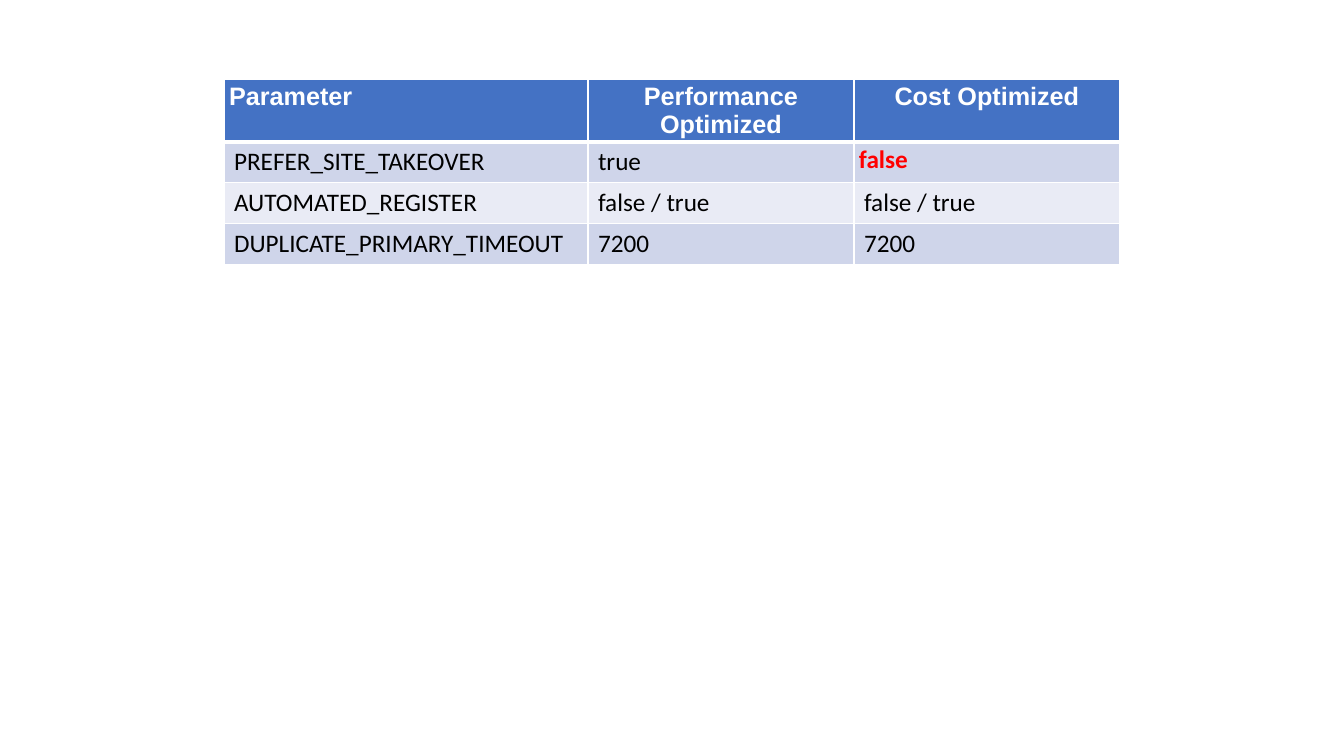
from dataclasses import dataclass

from lxml.etree import SubElement
from pptx import Presentation
from pptx.dml.color import RGBColor
from pptx.enum.text import PP_ALIGN
from pptx.oxml.ns import qn
from pptx.util import Pt


@dataclass(frozen=True)
class Theme:
    header_fill: str = "4472C4"
    bands: tuple = ("CFD5EA", "E9EBF5")
    white: str = "FFFFFF"
    text: str = "000000"
    alert: str = "FF0000"
    header_font: str = "Arial"
    body_font: str = "Calibri"
    size: float = 18
    rule: float = 1
    header_rule: float = 3


class Deck:
    def __init__(self, theme):
        self.theme = theme
        self.prs = Presentation()
        self.prs.slide_width, self.prs.slide_height = Pt(960), Pt(540)
        self.s = self.prs.slides.add_slide(self.prs.slide_layouts[6])

    def borders(self, cell, widths):
        # Border lines must come before the fill in the cell properties
        tcPr = cell._tc.get_or_add_tcPr()
        for i, (side, width) in enumerate(widths.items()):
            ln = SubElement(tcPr, qn(f"a:ln{side}"), w=str(Pt(width)))
            fill = SubElement(ln, qn("a:solidFill"))
            SubElement(fill, qn("a:srgbClr"), val=self.theme.white)
            tcPr.insert(i, ln)

    def cell(self, cell, text, fill, color, font, bold=False, tight=False,
             align=PP_ALIGN.LEFT, top=1, bottom=1):
        self.borders(cell, {"L": self.theme.rule, "R": self.theme.rule,
                            "T": top, "B": bottom})
        cell.fill.solid()
        cell.fill.fore_color.rgb = RGBColor.from_string(fill)
        if tight:
            margins = {"margin_left": 3.6, "margin_right": 3.6,
                       "margin_top": 2, "margin_bottom": 2}
            for name, value in margins.items():
                setattr(cell, name, Pt(value))
        p = cell.text_frame.paragraphs[0]
        p.alignment = align
        r = p.add_run()
        r.text = text
        for name, value in {"name": font, "size": Pt(self.theme.size), "bold": bold}.items():
            setattr(r.font, name, value)
        r.font.color.rgb = RGBColor.from_string(color)

    def table(self, rows, left, top, widths, row_height, highlight):
        t = self.theme
        table = self.s.shapes.add_table(
            len(rows), len(widths), Pt(left), Pt(top),
            Pt(sum(widths)), Pt(row_height * len(rows))).table
        for column, width in zip(table.columns, widths):
            column.width = Pt(width)
        for i, row in enumerate(rows):
            for j, text in enumerate(row):
                if i == 0:
                    style = dict(fill=t.header_fill, color=t.white, font=t.header_font,
                                 bold=True, tight=True, bottom=t.header_rule,
                                 align=PP_ALIGN.CENTER if j else PP_ALIGN.LEFT)
                else:
                    marked = (i, j) == highlight
                    style = dict(fill=t.bands[(i - 1) % 2], font=t.body_font,
                                 color=t.alert if marked else t.text,
                                 bold=marked, tight=marked,
                                 top=t.header_rule if i == 1 else t.rule)
                self.cell(table.cell(i, j), text, **style)


def main():
    deck = Deck(Theme())

    # Parameter comparison, with the differing value highlighted
    rows = [
        ("Parameter", "Performance Optimized", "Cost Optimized"),
        ("PREFER_SITE_TAKEOVER", "true", "false"),
        ("AUTOMATED_REGISTER", "false / true", "false / true"),
        ("DUPLICATE_PRIMARY_TIMEOUT", "7200", "7200"),
    ]
    deck.table(rows, left=160, top=57, widths=(260, 190, 190),
               row_height=29.2, highlight=(1, 2))

    deck.prs.save("out.pptx")


if __name__ == "__main__":
    main()
